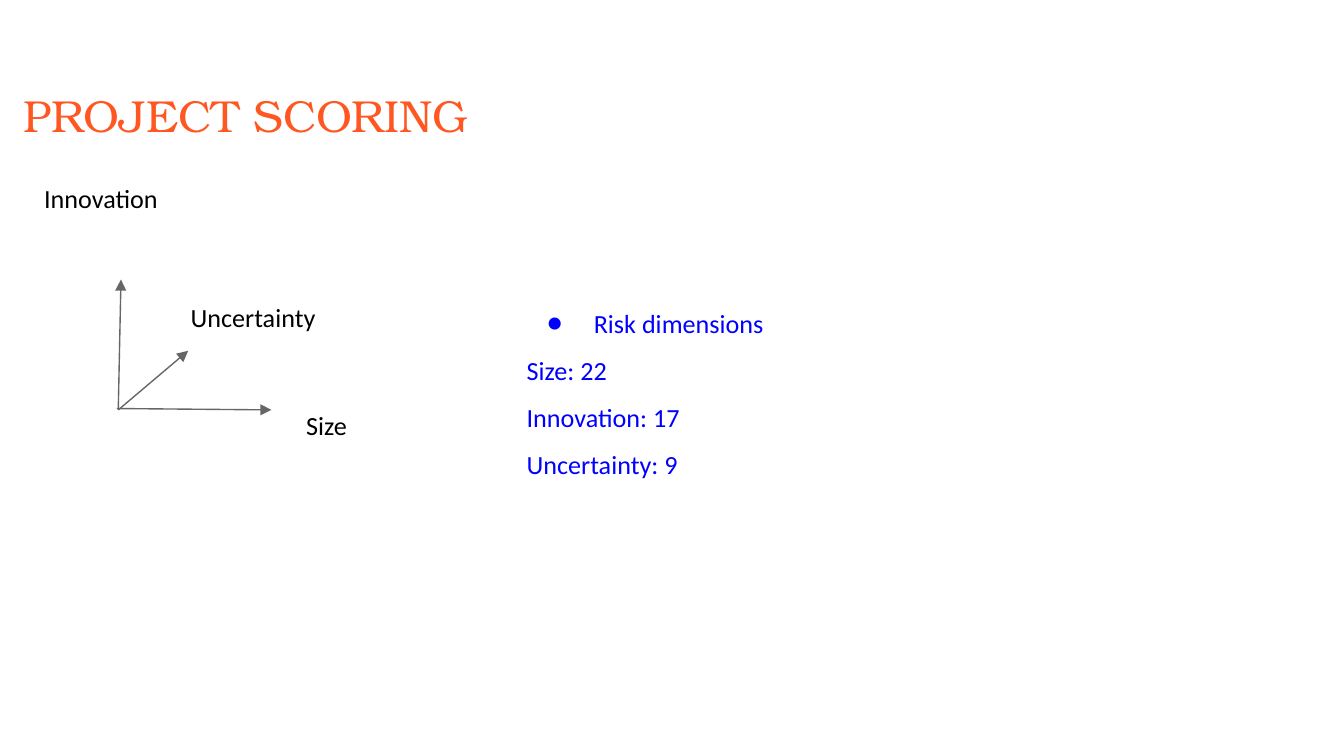
from lxml import etree
from pptx import Presentation
from pptx import util as u
from pptx.dml.color import RGBColor
from pptx.enum import shapes, text
from pptx.oxml.ns import qn

# Content
TITLE = "PROJECT SCORING"
AXES = [  # label, label place, arrow start, arrow end
    ("Innovation", (0.23, 1.26), (0.88, 3.05), (0.9, 2.08)),
    ("Uncertainty", (1.32, 2.14), (0.88, 3.05), (1.4, 2.61)),
    ("Size", (2.18, 2.95), (0.87, 3.04), (2.02, 3.05)),
]
RISKS = ["Risk dimensions", "Size: 22", "Innovation: 17", "Uncertainty: 9"]

THEME = {
    "head": {"font": "TeX Gyre Bonum", "size": 24, "color": "FF5722"},
    "label": {"font": "Calibri", "size": 14, "color": "000000"},
    "risk": {"font": "Calibri", "size": 14, "color": "0000FF"},
    "line": {"width": 0.75, "color": "666666"},
}

# Widescreen page, 16 to 9
deck = Presentation()
deck.slide_width = u.Inches(10)
deck.slide_height = u.Inches(10 * 9 / 16)
slide = deck.slides.add_slide(deck.slide_layouts[6])


def add_text(lines, box, font, size, color, gap=1.0):
    frame = slide.shapes.add_textbox(*map(u.Inches, box)).text_frame
    frame.word_wrap = True
    frame.vertical_anchor = text.MSO_ANCHOR.TOP
    frame.margin_left = frame.margin_right = u.Inches(0.1)
    frame.margin_top = frame.margin_bottom = u.Inches(0.1)
    for i, line in enumerate(lines):
        para = frame.add_paragraph() if i else frame.paragraphs[0]
        para.line_spacing = gap
        run = para.add_run()
        run.text = line
        run.font.name, run.font.size = font, u.Pt(size)
        run.font.color.rgb = RGBColor.from_string(color)
    return frame


def add_bullet(para, font, size, color):
    props = para._p.get_or_add_pPr()
    props.set("marL", str(u.Inches(0.5)))
    props.set("indent", str(u.Inches(-0.35)))
    tint = etree.SubElement(props, qn("a:buClr"))
    etree.SubElement(tint, qn("a:srgbClr"), val=color)
    etree.SubElement(props, qn("a:buSzPts"), val=str(size * 100))
    etree.SubElement(props, qn("a:buFont"), typeface=font)
    etree.SubElement(props, qn("a:buChar"), char="●")


def add_arrow(start, end, width, color):
    arrow = slide.shapes.add_connector(
        shapes.MSO_CONNECTOR.STRAIGHT, *map(u.Inches, start + end))
    arrow.line.width = u.Pt(width)
    arrow.line.color.rgb = RGBColor.from_string(color)
    etree.SubElement(arrow.line._get_or_add_ln(), qn("a:tailEnd"), type="triangle")
    etree.SubElement(arrow._element.spPr, qn("a:effectLst"))


# Title
add_text([TITLE], (0.08, 0.55, 9.84, 0.49), **THEME["head"])

# Axes with their labels
for name, place, start, end in AXES:
    add_arrow(start, end, **THEME["line"])
    add_text([name], place + (1.47, 0.43), **THEME["label"])

# Risk scores
risks = add_text(RISKS, (3.82, 2.07, 5.26, 1.6), gap=1.5, **THEME["risk"])
add_bullet(risks.paragraphs[0], **THEME["risk"])

deck.save("out.pptx")
